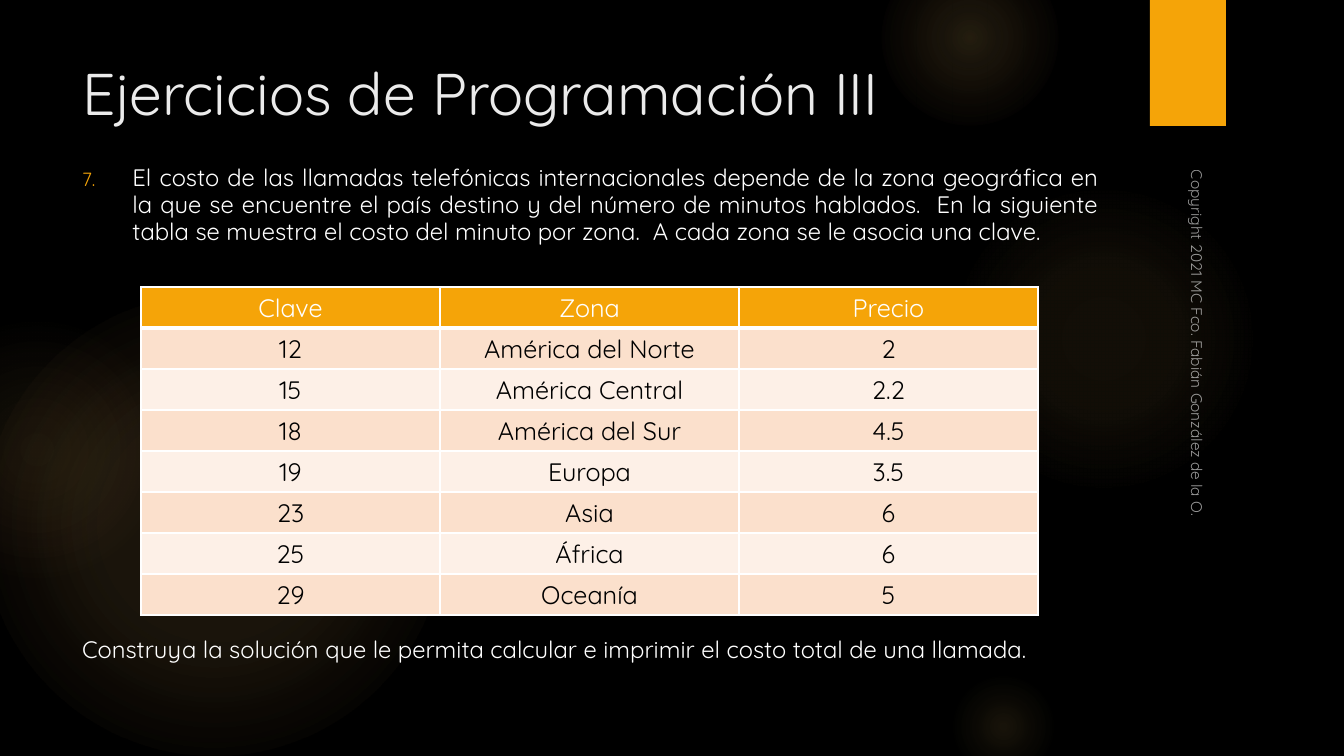
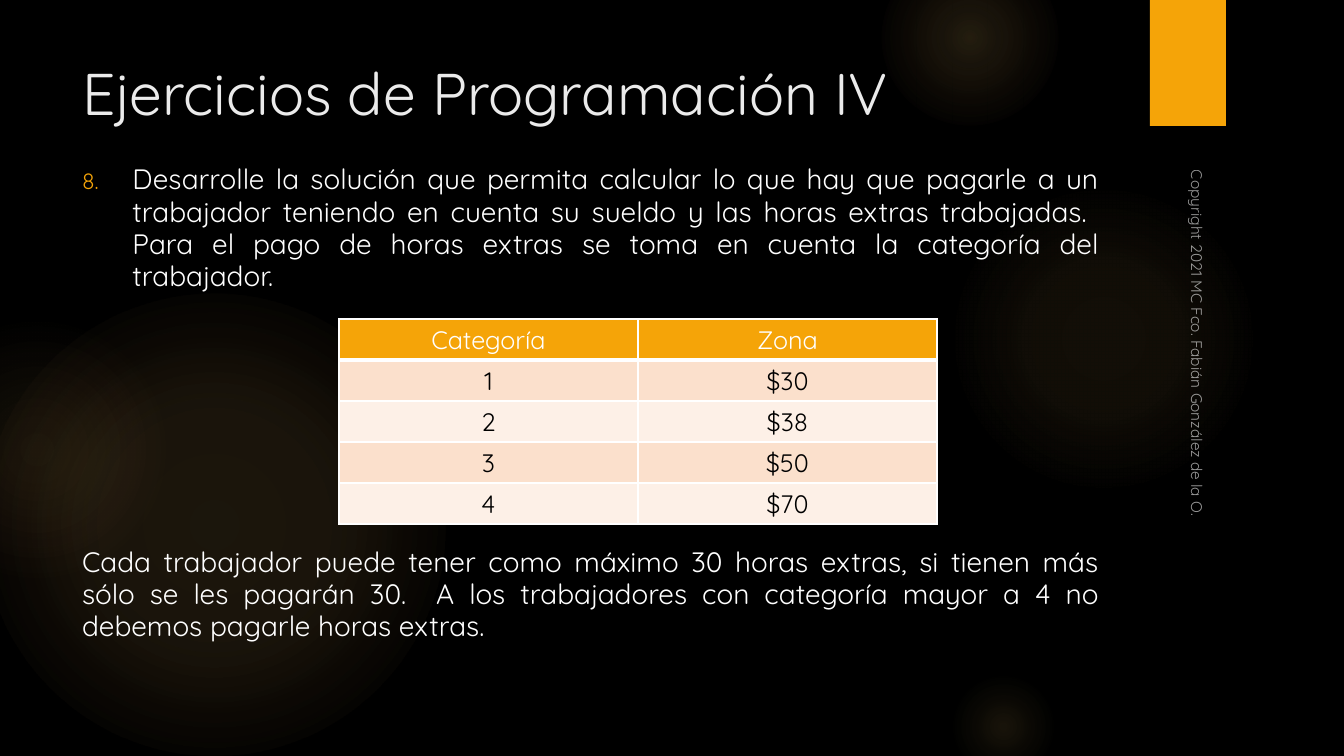
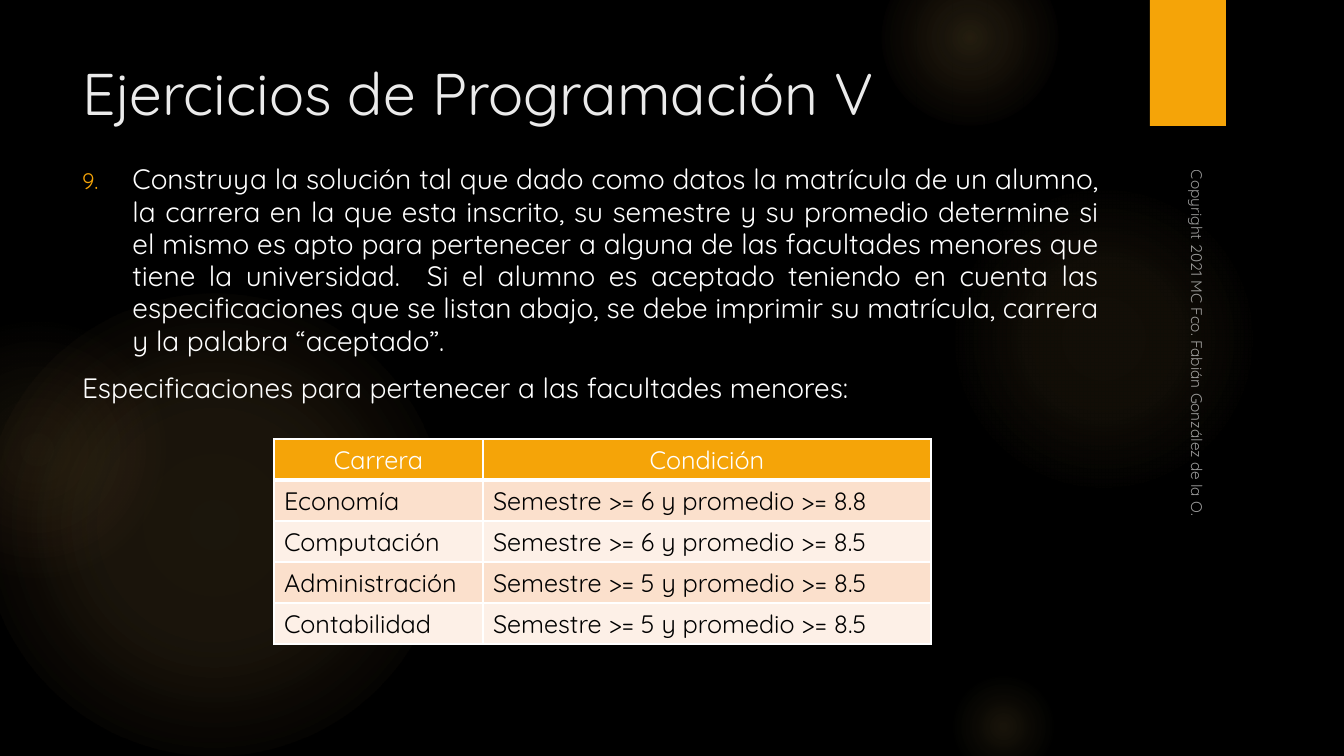
from lxml import etree
from pptx import Presentation, util as u
from pptx.dml.color import RGBColor
from pptx.enum import shapes, text
from pptx.oxml import parse_xml
from pptx.oxml.ns import nsdecls, qn

PX = 914400 / 100.8
FONT = "Quicksand"
BLACK, WHITE, TITLE, GOLD = "000000", "FFFFFF", "EBEBEB", "F5A408"
GLOW, CORAL = "FAC96A", "F59B74"
BANDS = ["FBE0CC", "FDF0E7"]
LEFT, CENTER, JUSTIFY = text.PP_ALIGN.LEFT, text.PP_ALIGN.CENTER, text.PP_ALIGN.JUSTIFY

SLIDE = (1344, 756)
TITLE_BOX = (72, 50, 1037, 84)
BODY_BOX = (72, 159, 1037, 534)
FOOTER_BOX = (987, 356, 425, 33)
BAR = (1150, 0, 76, 126)
ROW = 41
FOOTER = "Copyright 2021 MC Fco. Fabián González de la O."

# Glows: left, top, diameter, then stops of (position %, colour, opacity %)
GLOWS = [
    (-17, 294, 462, [(0, GLOW, 11), (36, GLOW, 10), (75, GLOW, 0)]),
    (-93, 320, 260, [(0, GLOW, 8), (36, GLOW, 5), (71, CORAL, 0)]),
    (949, 184, 310, [(0, GLOW, 7), (36, GLOW, 6), (69, GLOW, 0)]),
    (882, -50, 176, [(0, GLOW, 14), (36, GLOW, 7), (73, GLOW, 0)]),
    (949, 672, 109, [(0, GLOW, 10), (31, GLOW, 5), (66, GLOW, 0)]),
]

EXERCISES = [
    {
        "title": "Ejercicios de Programación III", "number": 7, "size": 17, "gap": 273,
        "task": "El costo de las llamadas telefónicas internacionales depende de la zona "
                "geográfica en la que se encuentre el país destino y del número de minutos "
                "hablados.  En la siguiente tabla se muestra el costo del minuto por zona.  "
                "A cada zona se le asocia una clave.",
        "note": "Construya la solución que le permita calcular e imprimir el costo total "
                "de una llamada.",
        "corner": (141, 287), "columns": [299, 299, 299], "align": CENTER,
        "rows": [
            ("Clave", "Zona", "Precio"),
            ("12", "América del Norte", "2"),
            ("15", "América Central", "2.2"),
            ("18", "América del Sur", "4.5"),
            ("19", "Europa", "3.5"),
            ("23", "Asia", "6"),
            ("25", "África", "6"),
            ("29", "Oceanía", "5"),
        ],
    },
    {
        "title": "Ejercicios de Programación IV", "number": 8, "size": 20, "gap": 175,
        "task": "Desarrolle la solución que permita calcular lo que hay que pagarle a un "
                "trabajador teniendo en cuenta su sueldo y las horas extras trabajadas.  "
                "Para el pago de horas extras se toma en cuenta la categoría del trabajador.",
        "note": "Cada trabajador puede tener como máximo 30 horas extras, si tienen más "
                "sólo se les pagarán 30.  A los trabajadores con categoría mayor a 4 no "
                "debemos pagarle horas extras.",
        "corner": (339, 319), "columns": [299, 299], "align": CENTER,
        "rows": [("Categoría", "Zona"), ("1", "$30"), ("2", "$38"), ("3", "$50"), ("4", "$70")],
    },
    {
        "title": "Ejercicios de Programación V", "number": 9, "size": 20, "gap": 5,
        "task": "Construya la solución tal que dado como datos la matrícula de un alumno, "
                "la carrera en la que esta inscrito, su semestre y su promedio determine si "
                "el mismo es apto para pertenecer a alguna de las facultades menores que "
                "tiene la universidad.  Si el alumno es aceptado teniendo en cuenta las "
                "especificaciones que se listan abajo, se debe imprimir su matrícula, "
                "carrera y la palabra “aceptado”.",
        "note": "Especificaciones para pertenecer a las facultades menores:",
        "corner": (274, 439), "columns": [209, 448], "align": LEFT,
        "rows": [
            ("Carrera", "Condición"),
            ("Economía", "Semestre >= 6 y promedio >= 8.8"),
            ("Computación", "Semestre >= 6 y promedio >= 8.5"),
            ("Administración", "Semestre >= 5 y promedio >= 8.5"),
            ("Contabilidad", "Semestre >= 5 y promedio >= 8.5"),
        ],
    },
]


def px(*lengths):
    return [u.Emu(round(length * PX)) for length in lengths]


def color(value):
    return RGBColor.from_string(value)


def place(shape, box):
    shape.left, shape.top, shape.width, shape.height = px(*box)


def style(para, size, ink, align=LEFT):
    para.alignment = align
    para.font.name, para.font.size, para.font.bold = FONT, u.Pt(size), False
    para.font.color.rgb = color(ink)


def add_plain(page, kind, box):
    shape = page.shapes.add_shape(kind, *px(*box))
    shape.shadow.inherit = False
    shape.line.fill.background()
    return shape


def add_glow(page, left, top, size, stops):
    shape = add_plain(page, shapes.MSO_SHAPE.OVAL, (left, top, size, size))
    shape.fill.background()
    stop_xml = "".join(
        f'<a:gs pos="{at * 1000}"><a:srgbClr val="{tint}"><a:alpha val="{alpha * 1000}"/>'
        f'</a:srgbClr></a:gs>' for at, tint, alpha in stops)
    properties = shape.element.spPr
    properties.replace(properties.find(qn("a:noFill")), parse_xml(
        f'<a:gradFill {nsdecls("a")}><a:gsLst>{stop_xml}</a:gsLst><a:path path="circle">'
        '<a:fillToRect l="50000" t="50000" r="50000" b="50000"/></a:path></a:gradFill>'))
    return shape


def decorate(layout, page):
    """Draw the shared backdrop and move it behind the layout's placeholders."""
    parts = [add_glow(page, *glow) for glow in GLOWS]
    bar = add_plain(page, shapes.MSO_SHAPE.RECTANGLE, BAR)
    bar.fill.solid()
    bar.fill.fore_color.rgb = color(GOLD)
    for index, part in enumerate(parts + [bar]):
        layout.shapes.element.insert(2 + index, part.element)


def set_bullet(para, number=None):
    """Number the paragraph, or leave it flush without a bullet."""
    properties = para._p.get_or_add_pPr()
    indent = u.Inches(0.5) if number else 0
    properties.set("marL", str(indent))
    properties.set("indent", str(-indent))
    if number:
        marks = [f'<a:buClr {nsdecls("a")}><a:srgbClr val="{GOLD}"/></a:buClr>',
                 f'<a:buSzPct {nsdecls("a")} val="80000"/>',
                 f'<a:buFont {nsdecls("a")} typeface="{FONT}"/>',
                 f'<a:buAutoNum {nsdecls("a")} type="arabicPeriod" startAt="{number}"/>']
    else:
        marks = [f'<a:buNone {nsdecls("a")}/>']
    for mark in marks:
        properties.find(qn("a:defRPr")).addprevious(parse_xml(mark))


def fill_body(body, exercise):
    frame = body.text_frame
    frame.auto_size = text.MSO_AUTO_SIZE.NONE
    frame.text = exercise["task"]
    frame.add_paragraph().text = exercise["note"]
    settings = [(0, exercise["number"]), (exercise["gap"], None)]
    for para, (before, number) in zip(frame.paragraphs, settings):
        style(para, exercise["size"], WHITE, JUSTIFY)
        para.line_spacing = 0.96
        para.space_before, para.space_after = u.Pt(before), u.Pt(6)
        set_bullet(para, number)


def add_footer(page):
    box = page.shapes.add_textbox(*px(*FOOTER_BOX))
    box.rotation = 90
    frame = box.text_frame
    frame.word_wrap = True
    frame.vertical_anchor = text.MSO_ANCHOR.BOTTOM
    frame.text = FOOTER
    style(frame.paragraphs[0], 11, WHITE)
    for tint in box.element.iter(qn("a:srgbClr")):
        etree.SubElement(tint, qn("a:alpha")).set("val", "60000")


def set_borders(cell, header):
    properties = cell._tc.get_or_add_tcPr()
    for index, side in enumerate(("lnL", "lnR", "lnT", "lnB")):
        width = u.Pt(3 if header and side == "lnB" else 1)
        properties.insert(index, parse_xml(
            f'<a:{side} {nsdecls("a")} w="{width}"><a:solidFill><a:srgbClr val="{WHITE}"/>'
            f'</a:solidFill></a:{side}>'))


def add_grid(page, exercise):
    rows, columns = exercise["rows"], exercise["columns"]
    box = (*exercise["corner"], sum(columns), ROW * len(rows))
    table = page.shapes.add_table(len(rows), len(columns), *px(*box)).table
    for column, width in zip(table.columns, px(*columns)):
        column.width = width
    for r, row in enumerate(rows):
        header = r == 0
        for c, value in enumerate(row):
            cell = table.cell(r, c)
            cell.text = value
            style(cell.text_frame.paragraphs[0], 18, WHITE if header else BLACK,
                  CENTER if header else exercise["align"])
            cell.fill.solid()
            cell.fill.fore_color.rgb = color(GOLD if header else BANDS[(r - 1) % 2])
            set_borders(cell, header)


def main():
    deck = Presentation()
    deck.slide_width, deck.slide_height = px(*SLIDE)
    backdrop = deck.slide_master.background.fill
    backdrop.solid()
    backdrop.fore_color.rgb = color(BLACK)
    layout = deck.slide_layouts[1]
    for holder, box in zip(layout.placeholders, (TITLE_BOX, BODY_BOX)):
        place(holder, box)

    for index, exercise in enumerate(EXERCISES):
        page = deck.slides.add_slide(layout)
        if index == 0:
            decorate(layout, page)
        page.shapes.title.text = exercise["title"]
        style(page.shapes.title.text_frame.paragraphs[0], 42, TITLE)
        fill_body(page.placeholders[1], exercise)
        add_footer(page)
        add_grid(page, exercise)
    deck.save("out.pptx")


if __name__ == "__main__":
    main()
